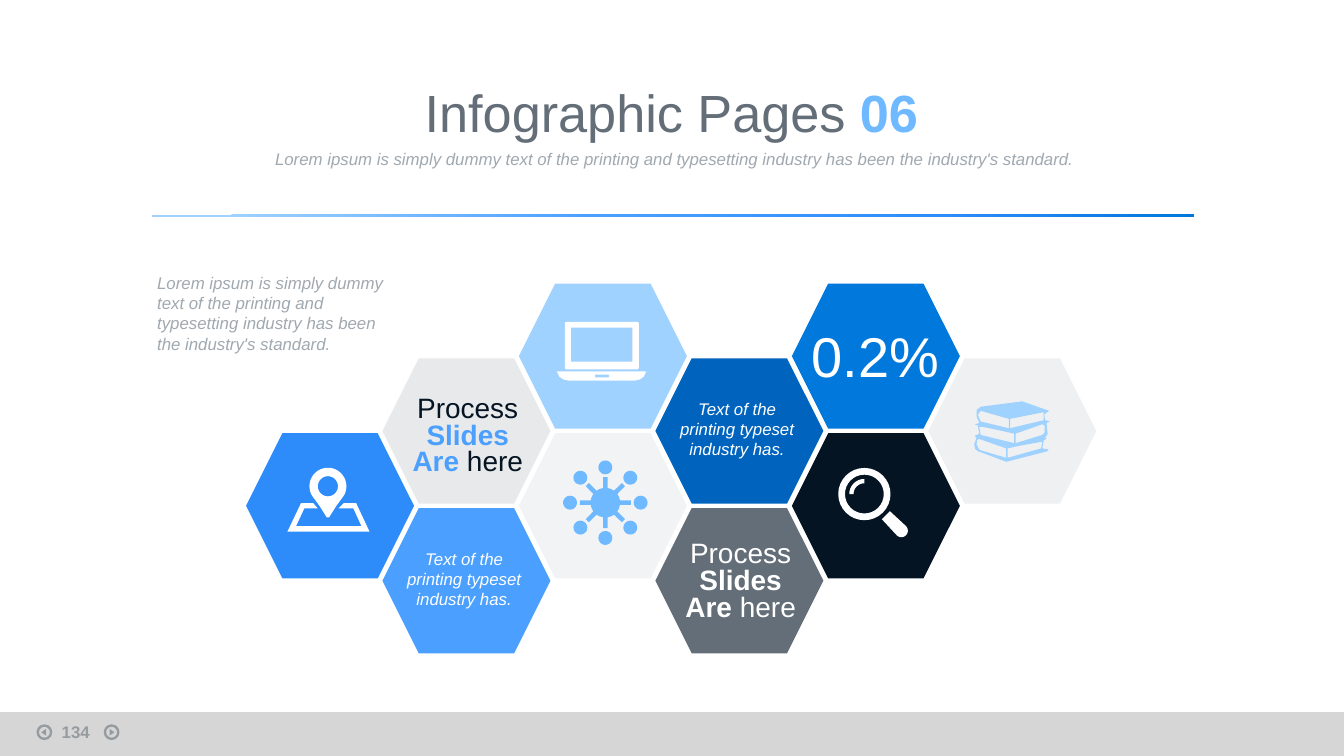
import math
from collections import namedtuple
from dataclasses import dataclass

import lxml.etree
import pptx
import pptx.dml.color
import pptx.enum.shapes
import pptx.enum.text
import pptx.oxml.ns
import pptx.util

Pt = pptx.util.Pt
Shapes = pptx.enum.shapes.MSO_SHAPE
Align = pptx.enum.text.PP_ALIGN
qn = pptx.oxml.ns.qn
Box = namedtuple("Box", "left top width height")


@dataclass(frozen=True)
class Theme:
    font: str = "Arial"
    white: str = "FFFFFF"
    ink: str = "051423"
    slate: str = "646E78"
    muted: str = "A0A8B0"
    bar: str = "D2D2D2"
    pale: str = "A0D2FF"
    sky: str = "6EB9FF"
    light: str = "4BA0FF"
    azure: str = "2D8CFA"
    blue: str = "0078DC"
    deep: str = "0064BE"
    title: int = 28
    figure: int = 30
    label: int = 15
    body: int = 9


THEME = Theme()
LOREM = ("Lorem ipsum is simply dummy text of the printing and typesetting "
         "industry has been the industry's standard.")
NOTE = "Text of the printing typeset industry has."


def rgb(color):
    return pptx.dml.color.RGBColor.from_string(color)


def paint(fill, color):
    fill.solid()
    fill.fore_color.rgb = rgb(color)


def set_alpha(element, percent):
    for color in element.iter(qn("a:srgbClr")):
        lxml.etree.SubElement(color, qn("a:alpha")).set("val", str(percent * 1000))


def within(box, left, top, width, height):
    return Box(box.left + left, box.top + top, width, height)


def add_shape(slide, kind, box, color=None, alpha=100, rotation=0):
    shape = slide.shapes.add_shape(kind, *map(Pt, box))
    shape.shadow.inherit = False
    shape.rotation = rotation
    shape.line.fill.background()
    if color:
        paint(shape.fill, color)
    else:
        shape.fill.background()
    if alpha < 100:
        set_alpha(shape._element.spPr, alpha)
    return shape


def add_text(slide, box, paragraphs, size, color, align=Align.CENTER,
             spacing=None, italic=False, bold=False):
    frame = slide.shapes.add_textbox(*map(Pt, box)).text_frame
    frame.word_wrap = True
    frame.vertical_anchor = pptx.enum.text.MSO_ANCHOR.MIDDLE
    frame.margin_left = frame.margin_right = frame.margin_top = frame.margin_bottom = 0
    for index, runs in enumerate(paragraphs):
        paragraph = frame.add_paragraph() if index else frame.paragraphs[0]
        paragraph.alignment = align
        paragraph.line_spacing = spacing
        font = paragraph.font
        font.name, font.size, font.italic, font.bold = THEME.font, Pt(size), italic, bold
        font.color.rgb = rgb(color)
        for text, *accent in runs:
            run = paragraph.add_run()
            run.text = text
            if accent:
                run.font.bold = True
                run.font.color.rgb = rgb(accent[0])
    return frame


def add_outline(slide, box, contours, color):
    builder = None
    for contour in contours:
        points = [(Pt(box.left + x), Pt(box.top + y)) for x, y in contour]
        if builder is None:
            builder = slide.shapes.build_freeform(*points[0])
        else:
            builder.move_to(*points[0])
        builder.add_line_segments(points[1:], close=True)
    shape = builder.convert_to_shape()
    shape.shadow.inherit = False
    paint(shape.fill, color)
    shape.line.fill.background()


def polar(x, y, radius, degrees):
    angle = math.radians(degrees)
    return x + radius * math.cos(angle), y + radius * math.sin(angle)


def arc(x, y, radius, start=0, end=360, steps=32):
    return [polar(x, y, radius, start + (end - start) * step / steps)
            for step in range(steps + 1)]


def rectangle(left, top, right, bottom, radius=0):
    if not radius:
        return [(left, top), (right, top), (right, bottom), (left, bottom)]
    corners = [(right - radius, bottom - radius), (left + radius, bottom - radius),
               (left + radius, top + radius), (right - radius, top + radius)]
    return [point for quarter, (x, y) in enumerate(corners)
            for point in arc(x, y, radius, quarter * 90, quarter * 90 + 90, 4)]


def laptop():
    base = [(20.4, 47.1), (68.2, 47.1), (67, 49.8), (64.8, 51.4), (62, 52),
            (26.6, 52), (23.8, 51.4), (21.6, 49.8)]
    return [rectangle(24.6, 20.5, 64.3, 46, 1), rectangle(27.9, 23.6, 60.8, 41.8),
            base, rectangle(40.7, 48.8, 48.2, 50.3)]


def magnifier():
    x, y = 38.9, 32.6
    glint = arc(x, y, 8.1, 180, 270, 8) + arc(x, y, 5.8, 270, 180, 8)
    handle = [(x + 9.4, y + 13.5), (x + 13.7, y + 9.2)]
    handle += arc(x + 19.8, y + 19.6, 3.5, -45, 135, 12)
    return [arc(x, y, 14), arc(x, y, 10.4), glint, handle]


def map_pin():
    x, y = 43.9, 28.4
    pin = arc(x, y, 9.9, 150, 390) + [(x + 4.5, y + 10.5), (x + 0.6, y + 16.7),
                                      (x - 0.6, y + 16.7), (x - 4.5, y + 10.5)]
    sheet = [(36, 37.4), (29.5, 37.4), (22.2, 52.7), (66.2, 52.7), (59, 37.4),
             (52.4, 37.4), (49.6, 40.2), (57.5, 40.2), (61.9, 49.8), (26.8, 49.8),
             (31.3, 40.2), (38.4, 40.2)]
    return [pin, arc(x, y, 5.4), sheet]


def network():
    x, y = 46.3, 37.2
    hub, dots = [], []
    for angle in range(0, 360, 45):
        hub += arc(x, y, 13.7, angle - 5, angle + 5, 2)
        hub += arc(x, y, 7.9, angle + 9, angle + 36, 4)
        dots.append(arc(*polar(x, y, 18.9, angle), 3.7))
    return [hub] + dots


def books():
    silhouette = [(62.6, 33.1), (62.2, 30), (64.8, 28.1), (50.4, 23), (28.1, 25.9),
                  (26, 27.6), (25.9, 31), (27.4, 34.6), (25, 35.4), (26.6, 36),
                  (27.4, 40.3), (24.8, 41.6), (25.9, 42.5), (24.6, 46.1), (25.2, 48.6),
                  (26.6, 49.7), (41.8, 55.4), (64.1, 49.7), (64.4, 48.8), (61.2, 48.2),
                  (61.9, 43.9), (63.4, 43), (62.6, 42.5), (64, 40.5), (63.4, 34.6),
                  (65.2, 33.8)]
    pages = [
        [(61.2, 41), (46.8, 45.4), (46.8, 40.3), (61.2, 35.3), (62.4, 36), (62.4, 39.6)],
        [(60.5, 48.2), (42.5, 53.3), (42.5, 48.2), (49, 46.8), (61.2, 44.6)],
        [(41.8, 53.3), (27.4, 49), (25.9, 46.1), (26.3, 43.6), (27.4, 43.2), (41.8, 48.2)],
        [(26.6, 30.2), (28.1, 28.1), (43.2, 32.4), (43.2, 37.4), (28.1, 33.8)],
        [(27.4, 36.7), (29.5, 36.7), (46.1, 40.3), (46.1, 45.4), (28.1, 41)],
        [(43.9, 32.4), (61.9, 28.8), (61.9, 33.1), (43.9, 37.4)],
    ]
    return [silhouette] + pages


def add_header(slide, box):
    add_text(slide, within(box, 0, 0, box.width, 35.3),
             [[("Infographic Pages ",), ("06", THEME.sky)]],
             THEME.title, THEME.slate, spacing=0.7)
    add_text(slide, within(box, 55.4, 26.6, 468.7, 24.5), [[(LOREM,)]],
             THEME.body, THEME.muted, italic=True)
    rule = add_shape(slide, Shapes.RECTANGLE, within(box, 10, 69.1, 558, 0.9))
    rule.fill.gradient()
    gradient = rule._element.spPr.find(qn("a:gradFill"))
    stops = gradient.find(qn("a:gsLst"))
    stops.clear()
    for position, color in ((7, THEME.pale), (42, THEME.light),
                            (76, THEME.azure), (100, THEME.blue)):
        stop = lxml.etree.SubElement(stops, qn("a:gs"), pos=str(position * 1000))
        lxml.etree.SubElement(stop, qn("a:srgbClr"), val=color)
    gradient.find(qn("a:lin")).set("ang", str(320 * 60000))


def add_honeycomb(slide, box):
    def process(accent):
        return [[("Process",)], [("Slides Are ", accent), ("here",)]]

    column_step, row_step, width, height = 73.1, 40.1, 90, 77.8
    note = dict(area=(9.2, 18.7, 69.1, 38.2), paragraphs=[[(NOTE,)]],
                size=THEME.body, color=THEME.white, italic=True)
    label = dict(size=THEME.label, spacing=0.8)
    cells = [
        (0, 2, THEME.azure, 100, (map_pin, THEME.white)),
        (1, 1, THEME.slate, 15, dict(label, area=(12.2, 11.5, 67, 61.2),
                                     paragraphs=process(THEME.light), color=THEME.ink)),
        (1, 3, THEME.light, 100, note),
        (2, 2, THEME.slate, 8, (network, THEME.sky)),
        (3, 1, THEME.deep, 100, note),
        (3, 3, THEME.slate, 100, dict(label, area=(12.2, 9.2, 67, 61.2),
                                      paragraphs=process(THEME.white), color=THEME.white)),
        (2, 0, THEME.pale, 100, (laptop, THEME.white)),
        (4, 2, THEME.ink, 100, (magnifier, THEME.white)),
        (4, 0, THEME.blue, 100, dict(area=(9.2, 20.2, 71.3, 45.4), paragraphs=[[("0.2%",)]],
                                     size=THEME.figure, color=THEME.white, spacing=0.7)),
        (5, 1, THEME.slate, 10, (books, THEME.pale)),
    ]
    for column, row, color, alpha, content in cells:
        cell = within(box, column * column_step, row * row_step, width, height)
        hexagon = add_shape(slide, Shapes.HEXAGON, cell, color, alpha)
        hexagon.adjustments[0] = 0.25
        if isinstance(content, dict):
            options = dict(content)
            add_text(slide, within(cell, *options.pop("area")), **options)
        else:
            icon, icon_color = content
            add_outline(slide, cell, icon(), icon_color)


def add_footer(slide, box):
    add_shape(slide, Shapes.RECTANGLE, box, THEME.bar, 90)
    for left, tip, rotation in ((56.2, 2, 90), (20.2, 1.4, 270)):
        ring = add_shape(slide, Shapes.OVAL, within(box, left, 7.2, 7.2, 7.2))
        ring.line.width = Pt(1.25)
        paint(ring.line.fill, THEME.ink)
        set_alpha(ring._element.spPr, 30)
        add_shape(slide, Shapes.ISOSCELES_TRIANGLE, within(box, left + tip, 9.5, 3.6, 2.6),
                  THEME.ink, 30, rotation)
    number = add_text(slide, within(box, 33.1, 3, 22, 15), [[("134",)]],
                      THEME.body, THEME.ink, Align.LEFT, bold=True)
    set_alpha(number.paragraphs[0]._p, 30)


def main():
    presentation = pptx.Presentation()
    presentation.slide_width, presentation.slide_height = Pt(720), Pt(405)
    slide = presentation.slides.add_slide(presentation.slide_layouts[6])
    add_footer(slide, Box(0, 381.5, 720, 23.5))
    add_header(slide, Box(71.3, 46.1, 576.7, 70))
    add_text(slide, Box(84.2, 144, 123.1, 47.5), [[(LOREM,)]],
             THEME.body, THEME.muted, Align.LEFT, italic=True)
    add_honeycomb(slide, Box(131.8, 151.9, 455.5, 198.1))
    presentation.save("out.pptx")


if __name__ == "__main__":
    main()
